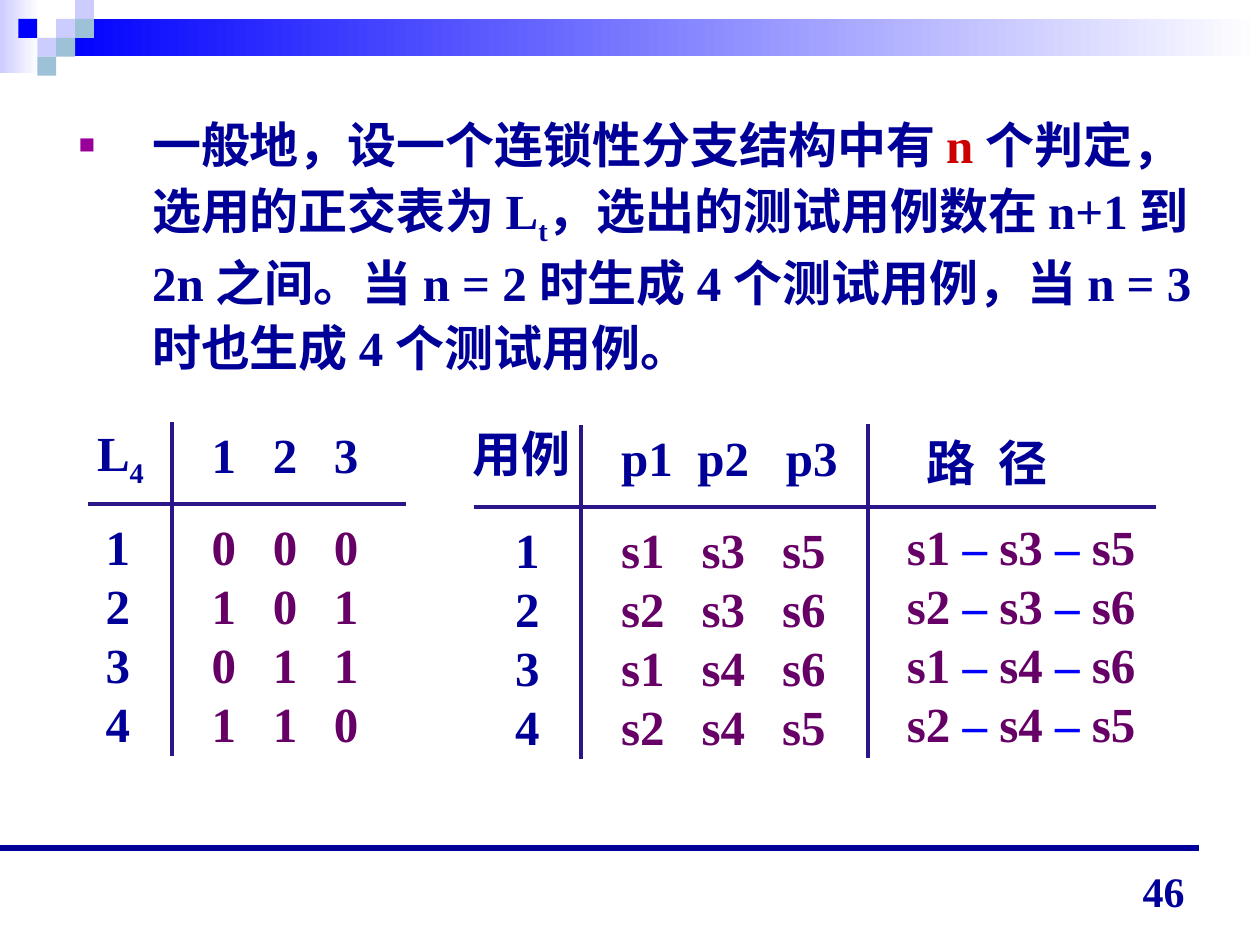
from typing import NamedTuple, Optional

import lxml.etree
import pptx
import pptx.dml.color
import pptx.enum.dml
import pptx.enum.shapes
import pptx.enum.text
import pptx.oxml
import pptx.oxml.ns
import pptx.util

Pt = pptx.util.Pt
RGBColor = pptx.dml.color.RGBColor
qn = pptx.oxml.ns.qn

NAVY = RGBColor(0x00, 0x00, 0x99)
BLUE = RGBColor(0x00, 0x00, 0xFF)
RED = RGBColor(0xCC, 0x00, 0x00)
PLUM = RGBColor(0x66, 0x00, 0x66)
INDIGO = RGBColor(0x2C, 0x15, 0x88)
LAVENDER = RGBColor(0xCC, 0xCC, 0xFF)
TEAL = RGBColor(0x9D, 0xC2, 0xD7)
WHITE = RGBColor(0xFF, 0xFF, 0xFF)

FONT = "Times New Roman"
SQUARE = 10.8
SQUARES_LEFT = -0.3
ROW_HEIGHT = 33.7


class Span(NamedTuple):
    text: str
    color: RGBColor = NAVY
    subscript: bool = False


class Block(NamedTuple):
    """Lines of spans at one place, with tab stops for inner columns."""
    left: float
    top: float
    width: float
    lines: list[list[Span]]
    tabs: tuple[float, ...] = ()
    leading: Optional[float] = ROW_HEIGHT


class Rule(NamedTuple):
    x1: float
    y1: float
    x2: float
    y2: float
    color: RGBColor = INDIGO
    weight: float = 2.25


class Band(NamedTuple):
    left: float
    top: float
    width: float
    height: float
    color: RGBColor


class Square(NamedTuple):
    column: int
    row: int
    color: RGBColor


def rows(*texts: str, color: RGBColor = NAVY) -> list[list[Span]]:
    return [[Span(text, color)] for text in texts]


def path_row(*steps: str) -> list[Span]:
    """Steps in plum, joined by blue dashes."""
    spans = [Span(steps[0], PLUM)]
    for step in steps[1:]:
        spans += [Span(" – ", BLUE), Span(step, PLUM)]
    return spans


BANDS = [
    Band(0, 0, 22.3, 41.8, LAVENDER),
    Band(32.4, 10.8, 687.6, 21.3, BLUE),
]
SQUARES = [
    Square(3, 1, LAVENDER), Square(4, 0, LAVENDER), Square(4, 1, TEAL),
    Square(2, 2, LAVENDER), Square(1, 1, BLUE), Square(3, 2, TEAL),
    Square(2, 3, TEAL),
]
RULES = [
    Rule(0, 484.6, 684.9, 484.6, NAVY, 3.25),
    Rule(50.4, 288, 231.8, 288),
    Rule(98.2, 241.2, 98.2, 432),
    Rule(270.7, 289.7, 660.4, 289.7),
    Rule(332.1, 242.8, 332.1, 433.6),
    Rule(496.1, 242.2, 496.1, 433.4),
]
STATEMENT = [
    Span("一般地，设一个连锁性分支结构中有 "),
    Span("n ", RED),
    Span("个判定，选用的正交表为 L"),
    Span("t", subscript=True),
    Span("，选出的测试用例数在 n+1 到 2n 之间。当 n = 2 时生成 4 个测试用例，"
         "当 n = 3时也生成 4 个测试用例。"),
]
CASES = rows("1", "2", "3", "4")
BLOCKS = [
    Block(48.4, 238, 45, [[Span("L"), Span("4", subscript=True)]], leading=38.2),
    Block(113.8, 239, 102, rows("1\t2\t3"), (35, 70)),
    Block(53.3, 291.6, 30, CASES),
    Block(113.8, 291.6, 102,
          rows("0\t0\t0", "1\t0\t1", "0\t1\t1", "1\t1\t0", color=PLUM), (35, 70)),
    Block(263.1, 238.3, 74, rows("用例"), leading=None),
    Block(347.8, 240.5, 142, rows("p1\tp2\tp3"), (43.6, 94.2)),
    Block(287.3, 293, 30, CASES),
    Block(347.8, 293, 136,
          rows("s1\ts3\ts5", "s2\ts3\ts6", "s1\ts4\ts6", "s2\ts4\ts5", color=PLUM),
          (46, 92)),
    Block(522.4, 243.4, 102, rows("路\t径"), (41,), leading=None),
    Block(511.2, 291.6, 150,
          [path_row("s1", "s3", "s5"), path_row("s2", "s3", "s6"),
           path_row("s1", "s4", "s6"), path_row("s2", "s4", "s5")]),
]


def add_spans(para, spans: list[Span], size: float = 28) -> None:
    for span in spans:
        run = para.add_run()
        run.text = span.text
        run.font.name = FONT
        run.font.size = Pt(size)
        run.font.bold = True
        run.font.color.rgb = span.color
        if span.subscript:
            run.font._element.set("baseline", "-25000")


def add_tabs(para, stops: tuple[float, ...]) -> None:
    tab_list = lxml.etree.SubElement(para._p.get_or_add_pPr(), qn("a:tabLst"))
    for stop in stops:
        lxml.etree.SubElement(tab_list, qn("a:tab"), pos=str(int(Pt(stop))), algn="l")


def add_bullet(para, hanging: float) -> None:
    properties = para._p.get_or_add_pPr()
    properties.set("marL", str(int(Pt(hanging))))
    properties.set("indent", str(-int(Pt(hanging))))
    color = lxml.etree.SubElement(properties, qn("a:buClr"))
    lxml.etree.SubElement(color, qn("a:srgbClr"), val="990099")
    lxml.etree.SubElement(properties, qn("a:buSzPct"), val="55000")
    lxml.etree.SubElement(properties, qn("a:buChar"), char="■")


def add_rectangle(page, left: float, top: float, width: float, height: float):
    box = page.shapes.add_shape(pptx.enum.shapes.MSO_SHAPE.RECTANGLE,
                                Pt(left), Pt(top), Pt(width), Pt(height))
    box.shadow.inherit = False
    box.line.fill.background()
    return box


def add_band(page, band: Band) -> None:
    """A rectangle fading to white on the right."""
    box = add_rectangle(page, band.left, band.top, band.width, band.height)
    box.fill.gradient()
    box.fill.gradient_angle = 0
    for stop, position, color in zip(box.fill.gradient_stops, (0, 1), (band.color, WHITE)):
        stop.position = position
        stop.color.rgb = color


def add_square(page, square: Square) -> None:
    box = add_rectangle(page, SQUARES_LEFT + square.column * SQUARE,
                        square.row * SQUARE, SQUARE, SQUARE)
    box.fill.solid()
    box.fill.fore_color.rgb = square.color


def add_rule(page, rule: Rule) -> None:
    line = page.shapes.add_connector(pptx.enum.shapes.MSO_CONNECTOR.STRAIGHT,
                                     Pt(rule.x1), Pt(rule.y1), Pt(rule.x2), Pt(rule.y2))
    line.line.color.rgb = rule.color
    line.line.width = Pt(rule.weight)
    lxml.etree.SubElement(line._element.spPr, qn("a:effectLst"))


def add_block(page, block: Block) -> None:
    height = len(block.lines) * ROW_HEIGHT + 7.2
    box = page.shapes.add_textbox(Pt(block.left), Pt(block.top), Pt(block.width), Pt(height))
    frame = box.text_frame
    frame.word_wrap = True
    for index, spans in enumerate(block.lines):
        para = frame.add_paragraph() if index else frame.paragraphs[0]
        if block.tabs:
            add_tabs(para, block.tabs)
        if block.leading:
            para.line_spacing = Pt(block.leading)
        add_spans(para, spans)


def fill_statement(body) -> None:
    body.left, body.top, body.width, body.height = Pt(37.9), Pt(58.5), Pt(653.8), Pt(170.6)
    body.text_frame.auto_size = pptx.enum.text.MSO_AUTO_SIZE.NONE
    para = body.text_frame.paragraphs[0]
    add_bullet(para, 41.8)
    para._p.get_or_add_pPr().set("hangingPunct", "0")
    para.line_spacing = 1.1
    para.space_before = Pt(0)
    add_spans(para, STATEMENT)


def add_page_number(page, number: str) -> None:
    box = page.shapes.add_textbox(Pt(516.2), Pt(491), Pt(167.8), Pt(36))
    box.text_frame.word_wrap = True
    box.text_frame.vertical_anchor = pptx.enum.text.MSO_ANCHOR.BOTTOM
    para = box.text_frame.paragraphs[0]
    para.alignment = pptx.enum.text.PP_ALIGN.RIGHT
    add_spans(para, [Span(number)], size=24)


def main() -> None:
    deck = pptx.Presentation()
    deck.slide_width, deck.slide_height = Pt(720), Pt(540)
    page = deck.slides.add_slide(deck.slide_layouts[1])
    title = page.shapes.title
    title._element.getparent().remove(title._element)
    fill_statement(page.placeholders[1])
    for items, draw in ((BANDS, add_band), (SQUARES, add_square),
                        (RULES, add_rule), (BLOCKS, add_block)):
        for item in items:
            draw(page, item)
    add_page_number(page, "46")
    deck.save("out.pptx")


if __name__ == "__main__":
    main()
